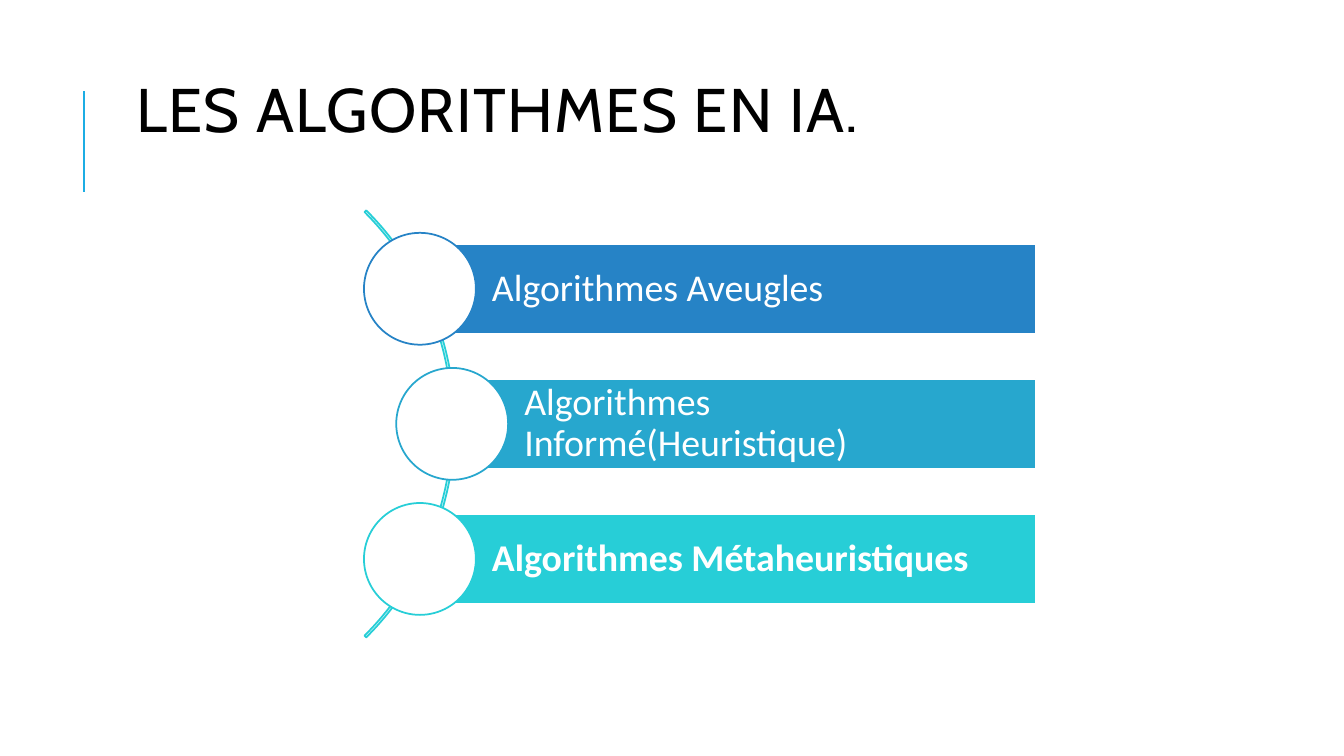
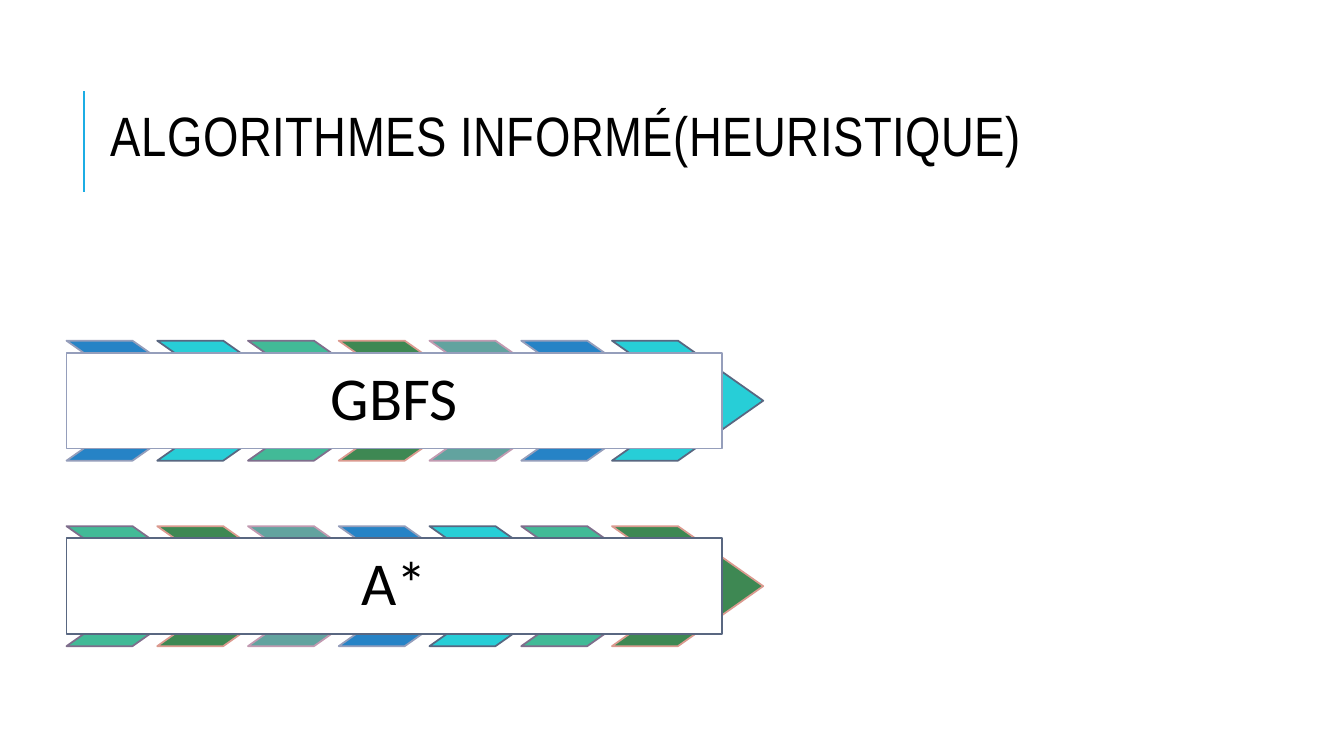
from itertools import cycle, islice

from lxml import etree
from pptx import Presentation
from pptx.dml.color import RGBColor
from pptx.enum.shapes import MSO_CONNECTOR as CONNECTOR, MSO_SHAPE as SHAPE
from pptx.enum.text import MSO_ANCHOR as ANCHOR, PP_ALIGN as ALIGN
from pptx.oxml.ns import qn
from pptx.util import Emu, Pt

EMU_PER_PX = 9144
WHITE, BLACK = "FFFFFF", "000000"
BLUE, SKY, CYAN = "2683C6", "27A7CE", "27CED7"
TITLE_RULE = "1CADE4"
BODY_FONT = "Calibri"
OUTLINE_PT = 1.25

CHEVRON_STYLES = [
    (BLUE, "959EBB"),
    (CYAN, "596781"),
    ("42BA97", "7F6E8C"),
    ("3E8853", "DB9A8F"),
    ("62A39F", "C29AB1"),
]
CHEVRON_COUNT = 7


def px(length):
    return Emu(length * EMU_PER_PX)


def box(*lengths):
    return [px(length) for length in lengths]


def color(hex_code):
    return RGBColor.from_string(hex_code)


def add_outlined(slide, preset, area, fill, outline, adjustments=()):
    shape = slide.shapes.add_shape(preset, *box(*area))
    shape.shadow.inherit = False
    if fill:
        shape.fill.solid()
        shape.fill.fore_color.rgb = color(fill)
    else:
        shape.fill.background()
    shape.line.color.rgb = color(outline)
    shape.line.width = Pt(OUTLINE_PT)
    for index, value in enumerate(adjustments):
        shape.adjustments[index] = value
    return shape


def write(shape, text, size, font=BODY_FONT, ink=BLACK, bold=False,
          align=ALIGN.LEFT, anchor=ANCHOR.MIDDLE, insets=(0, 0, 0, 0),
          line_spacing=0.9):
    frame = shape.text_frame
    frame.word_wrap = True
    frame.vertical_anchor = anchor
    (frame.margin_left, frame.margin_top,
     frame.margin_right, frame.margin_bottom) = box(*insets)
    paragraph = frame.paragraphs[0]
    paragraph.alignment = align
    paragraph.line_spacing = line_spacing
    run = paragraph.add_run()
    run.text = text
    paragraph.font.size = Pt(size)
    paragraph.font.name = font
    paragraph.font.bold = bold
    paragraph.font.color.rgb = color(ink)
    return run


def add_title(slide, text, left, top, size, font, tracking, line_spacing):
    rule = slide.shapes.add_connector(CONNECTOR.STRAIGHT, *box(83, 190, 83, 90))
    rule.line.color.rgb = color(TITLE_RULE)
    rule.line.width = Pt(1.5)
    etree.SubElement(rule._element.spPr, qn("a:effectLst"))
    title = slide.shapes.add_textbox(*box(left, top, 1040, 80))
    run = write(title, text, size, font, anchor=ANCHOR.TOP,
                line_spacing=line_spacing)
    run._r.get_or_add_rPr().set("spc", str(tracking))


def add_algorithm_bar(slide, text, center_x, top, accent, bold):
    right, height, diameter = 1027, 89, 111
    bar = add_outlined(slide, SHAPE.RECTANGLE,
                       (center_x, top, right - center_x, height), accent, WHITE)
    write(bar, text, 27, ink=WHITE, bold=bold, insets=(71, 7, 7, 7))
    add_outlined(slide, SHAPE.OVAL,
                 (center_x - 56, top - 11, diameter, diameter), WHITE, accent)


def add_chevron_banner(slide, text, top, first_style, frame_outline):
    left = 66
    styles = islice(cycle(CHEVRON_STYLES), first_style,
                    first_style + CHEVRON_COUNT)
    for index, (fill, outline) in enumerate(styles):
        add_outlined(slide, SHAPE.CHEVRON,
                     (left + index * 902 // 10, top, 150, 119),
                     fill, outline, [0.71])
    label = add_outlined(slide, SHAPE.RECTANGLE, (left, top + 12, 650, 95),
                         WHITE, frame_outline)
    write(label, text, 43.5, align=ALIGN.CENTER, insets=(10, 12, 10, 12))


def build_algorithm_families(slide):
    add_title(slide, "LES ALGORITHMES EN IA.", 135, 79, 44, "Cabin", 100, 0.9)
    add_outlined(slide, SHAPE.BLOCK_ARC, (-148, 121, 599, 599), None, CYAN,
                 [189, 27, 0.004])
    families = [
        ("Algorithmes Aveugles", 417, BLUE, False),
        ("Algorithmes Informé(Heuristique)", 449, SKY, False),
        ("Algorithmes Métaheuristiques", 417, CYAN, True),
    ]
    for index, (text, center_x, accent, bold) in enumerate(families):
        add_algorithm_bar(slide, text, center_x, 242 + index * 134, accent, bold)


def build_informed_algorithms(slide):
    add_title(slide, "ALGORITHMES INFORMÉ(HEURISTIQUE)", 110, 113, 39.6,
              "Arial Narrow", 40, 0.8)
    for index, text in enumerate(["GBFS", "A*"]):
        add_chevron_banner(slide, text, 338 + index * 184, index * 2,
                           CHEVRON_STYLES[index][1])


def main():
    deck = Presentation()
    deck.slide_width, deck.slide_height = box(1333, 750)
    blank = deck.slide_layouts[6]
    for build in (build_algorithm_families, build_informed_algorithms):
        build(deck.slides.add_slide(blank))
    deck.save("out.pptx")


if __name__ == "__main__":
    main()
